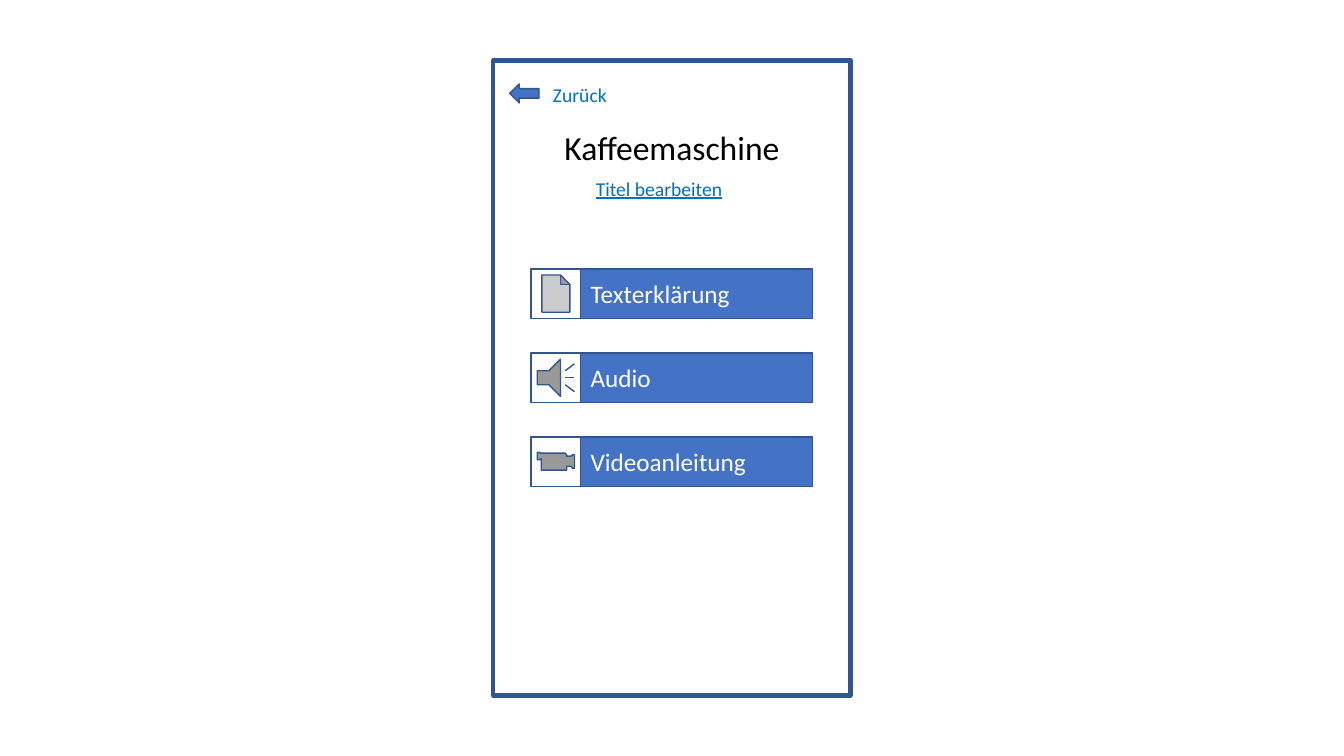
"""Builds a phone screen mockup offering three kinds of instructions."""
from pptx import Presentation
from pptx.dml.color import RGBColor
from pptx.enum.shapes import MSO_SHAPE
from pptx.enum.text import MSO_ANCHOR, PP_ALIGN
from pptx.util import Cm, Pt

BLUE = RGBColor(0x44, 0x72, 0xC4)
OUTLINE = RGBColor(0x32, 0x54, 0x91)
LINK = RGBColor(0x00, 0x70, 0xC0)
WHITE = RGBColor(0xFF, 0xFF, 0xFF)
BLACK = RGBColor(0x00, 0x00, 0x00)

SLIDE_WIDTH, SLIDE_HEIGHT = 33.87, 19.05
PHONE_WIDTH, PHONE_HEIGHT = 9, 16
ROW_HEIGHT, ROW_PITCH = 1.25, 2.12

CHOICES = [
    ("Texterklärung", MSO_SHAPE.ACTION_BUTTON_DOCUMENT),
    ("Audio", MSO_SHAPE.ACTION_BUTTON_SOUND),
    ("Videoanleitung", MSO_SHAPE.ACTION_BUTTON_MOVIE),
]


def add_outlined(slide, preset, left, top, width, height, fill=None, weight=1):
    """Add a preset shape with the common outline, its lengths in centimetres."""
    shape = slide.shapes.add_shape(preset, Cm(left), Cm(top), Cm(width), Cm(height))
    shape.shadow.inherit = False
    shape.line.color.rgb = OUTLINE
    shape.line.width = Pt(weight)
    if fill is None:
        shape.fill.background()
    else:
        shape.fill.solid()
        shape.fill.fore_color.rgb = fill
    return shape


def write(frame, text, size, color, align=PP_ALIGN.LEFT, underline=None):
    """Write one run of text into a text frame."""
    frame.word_wrap = True
    paragraph = frame.paragraphs[0]
    paragraph.alignment = align
    run = paragraph.add_run()
    run.text = text
    run.font.name = "Calibri"
    run.font.size = Pt(size)
    run.font.color.rgb = color
    run.font.underline = underline


def add_label(slide, left, top, width, height, *text_style, **options):
    """Add a text box with one run of text."""
    label = slide.shapes.add_textbox(Cm(left), Cm(top), Cm(width), Cm(height))
    write(label.text_frame, *text_style, **options)


def add_header(slide, left, top):
    """Place the back link, the title and its edit link."""
    add_outlined(slide, MSO_SHAPE.LEFT_ARROW, left + 0.41, top + 0.59, 0.74, 0.48, BLUE)
    add_label(slide, left + 1.25, top + 0.44, 3.9, 0.86, "Zurück", 14, LINK)
    add_label(slide, left + 1.2, top + 1.55, 6.6, 1.27,
              "Kaffeemaschine", 24, BLACK, align=PP_ALIGN.CENTER)
    add_label(slide, left + 2.33, top + 2.8, 3.8, 0.86,
              "Titel bearbeiten", 14, LINK, underline=True)


def add_choice(slide, left, top, width, caption, icon):
    """Place a row made of a square icon and a captioned bar."""
    bar = add_outlined(slide, MSO_SHAPE.RECTANGLE, left + ROW_HEIGHT, top,
                       width - ROW_HEIGHT, ROW_HEIGHT, BLUE)
    bar.text_frame.vertical_anchor = MSO_ANCHOR.MIDDLE
    write(bar.text_frame, caption, 18, WHITE)
    add_outlined(slide, icon, left, top, ROW_HEIGHT, ROW_HEIGHT, WHITE)


def add_phone(slide, left, top, width, height):
    """Place the phone frame with its header and choices."""
    add_outlined(slide, MSO_SHAPE.RECTANGLE, left, top, width, height, weight=3)
    add_header(slide, left, top)
    margin = 0.95
    for row, (caption, icon) in enumerate(CHOICES):
        add_choice(slide, left + margin, top + 5.25 + row * ROW_PITCH,
                   width - 2 * margin, caption, icon)


def main():
    """Build and save the slide."""
    presentation = Presentation()
    presentation.slide_width = Cm(SLIDE_WIDTH)
    presentation.slide_height = Cm(SLIDE_HEIGHT)
    slide = presentation.slides.add_slide(presentation.slide_layouts[6])
    add_phone(slide, (SLIDE_WIDTH - PHONE_WIDTH) / 2,
              (SLIDE_HEIGHT - PHONE_HEIGHT) / 2, PHONE_WIDTH, PHONE_HEIGHT)
    presentation.save("out.pptx")


if __name__ == "__main__":
    main()
